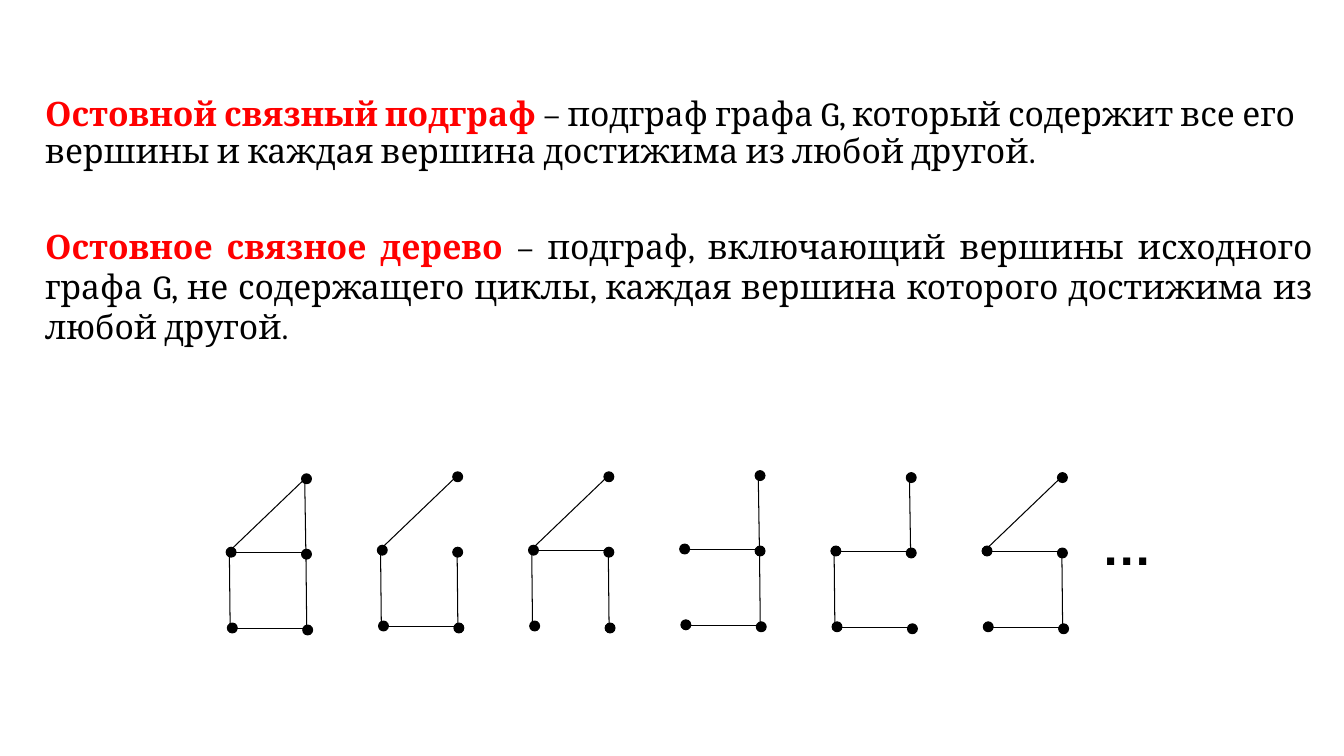
from lxml.etree import SubElement
from pptx import Presentation
from pptx.dml.color import RGBColor
from pptx.enum.shapes import MSO_CONNECTOR, MSO_SHAPE
from pptx.enum.text import PP_ALIGN
from pptx.oxml.ns import qn
from pptx.util import Cm, Pt

COLORS = {"ink": "000000", "term": "FF0000"}
DOT = 0.25
VERTICES = [(1.9, 0), (0, 1.85), (1.9, 1.9), (0.03, 3.76), (1.93, 3.81)]
EDGES = {
    "diagonal": (2.01, 0.1, 0.1, 1.93),
    "upper": (1.98, 0.2, 2.01, 2.11),
    "middle": (0.18, 1.98, 2.01, 1.98),
    "left": (0.08, 1.98, 0.1, 3.89),
    "bottom": (0.2, 3.89, 2.03, 3.89),
    "lower": (2.01, 2.03, 2.03, 3.94),
}
GRAPHS = [
    (0.08, list(EDGES)),
    (0.03, ["diagonal", "left", "bottom", "lower"]),
    (0.03, ["diagonal", "middle", "left", "lower"]),
    (0, ["upper", "middle", "bottom", "lower"]),
    (0.05, ["upper", "middle", "left", "bottom"]),
    (0.05, ["diagonal", "middle", "bottom", "lower"]),
]


def color(name):
    return RGBColor.from_string(COLORS[name])


def add_run(paragraph, text, size=24, font="Cambria", ink="ink", bold=False):
    run = paragraph.add_run()
    run.text = text
    run.font.size = Pt(size)
    run.font.name = font
    run.font.bold = bold
    run.font.color.rgb = color(ink)


def add_paragraph_box(slide, box):
    frame = slide.shapes.add_textbox(*map(Cm, box)).text_frame
    frame.word_wrap = True
    return frame.paragraphs[0]


def add_definition(slide, box, term, meaning, before, spacing=None):
    definition = add_paragraph_box(slide, box)
    definition.alignment = PP_ALIGN.JUSTIFY
    definition.space_before = Pt(before)
    definition.line_spacing = spacing
    add_run(definition, term, ink="term", bold=True)
    add_run(definition, meaning)


def add_edge(slide, left, top, ends):
    x1, y1, x2, y2 = ends
    edge = slide.shapes.add_connector(
        MSO_CONNECTOR.STRAIGHT,
        Cm(left + x1), Cm(top + y1), Cm(left + x2), Cm(top + y2),
    )
    edge.line.color.rgb = color("ink")
    edge.line.width = Pt(0.75)
    SubElement(edge._element.spPr, qn("a:effectLst"))


def add_vertex(slide, left, top):
    vertex = slide.shapes.add_shape(
        MSO_SHAPE.OVAL, Cm(left), Cm(top), Cm(DOT), Cm(DOT)
    )
    vertex.shadow.inherit = False
    vertex.fill.solid()
    vertex.fill.fore_color.rgb = color("ink")
    vertex.line.color.rgb = color("ink")
    vertex.line.width = Pt(0.75)


def add_graph(slide, left, top, edges):
    for edge in edges:
        add_edge(slide, left, top, EDGES[edge])
    for x, y in VERTICES:
        add_vertex(slide, left + x, top + y)


def add_graph_row(slide, left, top, pitch):
    for index, (drop, edges) in enumerate(GRAPHS):
        add_graph(slide, left + index * pitch, top + drop, edges)
    ellipsis = add_paragraph_box(slide, (left + 21.81, top + 0.99, 1.96, 1.78))
    add_run(ellipsis, "…", size=36, font="Arial", bold=True)


def main():
    deck = Presentation()
    deck.slide_width, deck.slide_height = Cm(33.87), Cm(19.05)
    slide = deck.slides.add_slide(deck.slide_layouts[6])
    add_graph_row(slide, left=5.7, top=11.86, pitch=3.81)
    add_definition(
        slide, (0.89, 2.34, 32, 3.2),
        "Остовной связный подграф ",
        "– подграф графа G, который содержит все его вершины "
        "и каждая вершина достижима из любой другой.",
        before=10, spacing=0.9,
    )
    add_definition(
        slide, (0.89, 5.56, 32.44, 4.6),
        "Остовное связное дерево",
        " – подграф, включающий вершины исходного графа G, "
        "не содержащего циклы, каждая вершина которого "
        "достижима из любой другой.",
        before=4.8,
    )
    deck.save("out.pptx")


if __name__ == "__main__":
    main()
